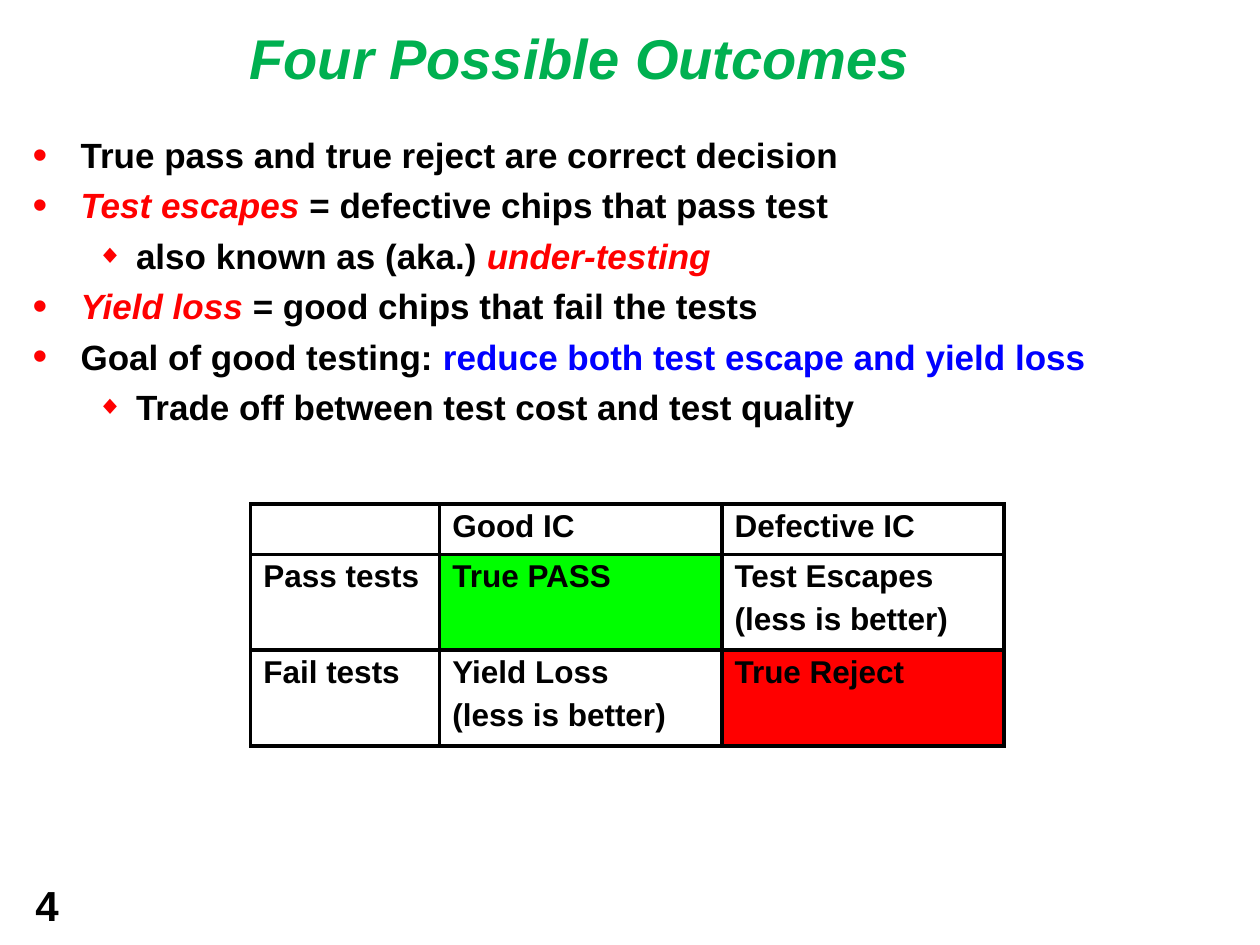
from lxml.etree import SubElement as Sub
from pptx import Presentation
from pptx.dml.color import RGBColor as RGB
from pptx.enum.text import MSO_ANCHOR as Anchor
from pptx.oxml.ns import qn
from pptx.util import Inches, Pt

BLACK = RGB(0, 0, 0)
WHITE = RGB(255, 255, 255)
RED = RGB(255, 0, 0)
BLUE = RGB(0, 0, 255)
GREEN = RGB(0, 176, 80)
LIME = RGB(0, 255, 0)


def style(font, size, color=BLACK):
    font.name = "Arial"
    font.size = Pt(size)
    font.bold = True
    font.color.rgb = color


def add_box(left, top, width, height, inset=0.01):
    frame = slide.shapes.add_textbox(
        Inches(left), Inches(top), Inches(width), Inches(height)).text_frame
    frame.word_wrap = True
    frame.margin_left = frame.margin_right = frame.margin_bottom = 0
    frame.margin_top = Inches(inset)
    return frame


deck = Presentation()
deck.slide_width, deck.slide_height = Inches(10), Inches(7.5)
slide = deck.slides.add_slide(deck.slide_layouts[6])

# Title
para = add_box(1.97, 0.18, 5.92, 0.55).paragraphs[0]
para.text = "Four Possible Outcomes"
para._p.get_or_add_pPr().set("marL", str(Inches(0.01)))
style(para.font, 32, GREEN)
para.font.italic = True

# Bullets: level, then runs of text with colour and italic
points = [
    (0, [("True pass and true reject are correct decision", BLACK, False)]),
    (0, [("Test escapes ", RED, True),
         ("= defective chips that pass test", BLACK, False)]),
    (1, [("also known as (aka.) ", BLACK, False),
         ("under-testing", RED, True)]),
    (0, [("Yield loss ", RED, True),
         ("= good chips that fail the tests", BLACK, False)]),
    (0, [("Goal of good testing: ", BLACK, False),
         ("reduce both test escape and yield loss", BLUE, False)]),
    (1, [("Trade off between test cost and test quality", BLACK, False)]),
]
# Margin, indent, mark and mark size for each level
levels = [(0.39, -0.38, "•", 120), (0.83, -0.31, "◆", 75)]

frame = add_box(0.25, 1.05, 8.84, 2.38)
for i, (level, runs) in enumerate(points):
    para = frame.add_paragraph() if i else frame.paragraphs[0]
    para.level = level
    if i:
        para.space_before = Pt(4.8)
    margin, indent, mark, scale = levels[level]
    props = para._p.get_or_add_pPr()
    props.set("marL", str(Inches(margin)))
    props.set("indent", str(Inches(indent)))
    Sub(Sub(props, qn("a:buClr")), qn("a:srgbClr"), val=str(RED))
    Sub(props, qn("a:buSzPct"), val=str(scale * 1000))
    Sub(props, qn("a:buFont"), typeface="Arial")
    Sub(props, qn("a:buChar"), char=mark)
    style(para.font, 20)
    for text, color, slant in runs:
        run = para.add_run()
        run.text = text
        run.font.color.rgb = color
        run.font.italic = slant

# Outcome table
rows = [
    ["", "Good IC", "Defective IC"],
    ["Pass tests", "True PASS", "Test Escapes\n(less is better)"],
    ["Fail tests", "Yield Loss\n(less is better)", "True Reject"],
]
fills = {(1, 1): LIME, (2, 2): RED}
table = slide.shapes.add_table(
    3, 3, Inches(1.99), Inches(4), Inches(5.98), Inches(1.92)).table
for col, width in zip(table.columns, [1.5, 2.24, 2.24]):
    col.width = Inches(width)
for row, height in zip(table.rows, [0.4, 0.76, 0.76]):
    row.height = Inches(height)

for r, texts in enumerate(rows):
    for c, text in enumerate(texts):
        cell = table.cell(r, c)
        cell.margin_left = cell.margin_right = cell.margin_bottom = 0
        cell.margin_top = Inches(0.04)
        cell.vertical_anchor = Anchor.TOP
        cell.text = text
        for i, para in enumerate(cell.text_frame.paragraphs):
            para._p.get_or_add_pPr().set("marL", str(Inches(0.1)))
            if i:
                para.space_before = Pt(4.3)
            style(para.font, 18)
        props = cell._tc.get_or_add_tcPr()
        for side in ("lnL", "lnR", "lnT", "lnB"):
            line = Sub(props, qn("a:" + side), w=str(Pt(2.25)))
            Sub(Sub(line, qn("a:solidFill")), qn("a:srgbClr"), val=str(BLACK))
        cell.fill.solid()
        cell.fill.fore_color.rgb = fills.get((r, c), WHITE)

# Page number
para = add_box(0.24, 7, 0.27, 0.4, inset=0).paragraphs[0]
para.text = "4"
para.line_spacing = Pt(27.6)
para._p.get_or_add_pPr().set("marL", str(Inches(0.04)))
style(para.font, 24)

deck.save("out.pptx")
